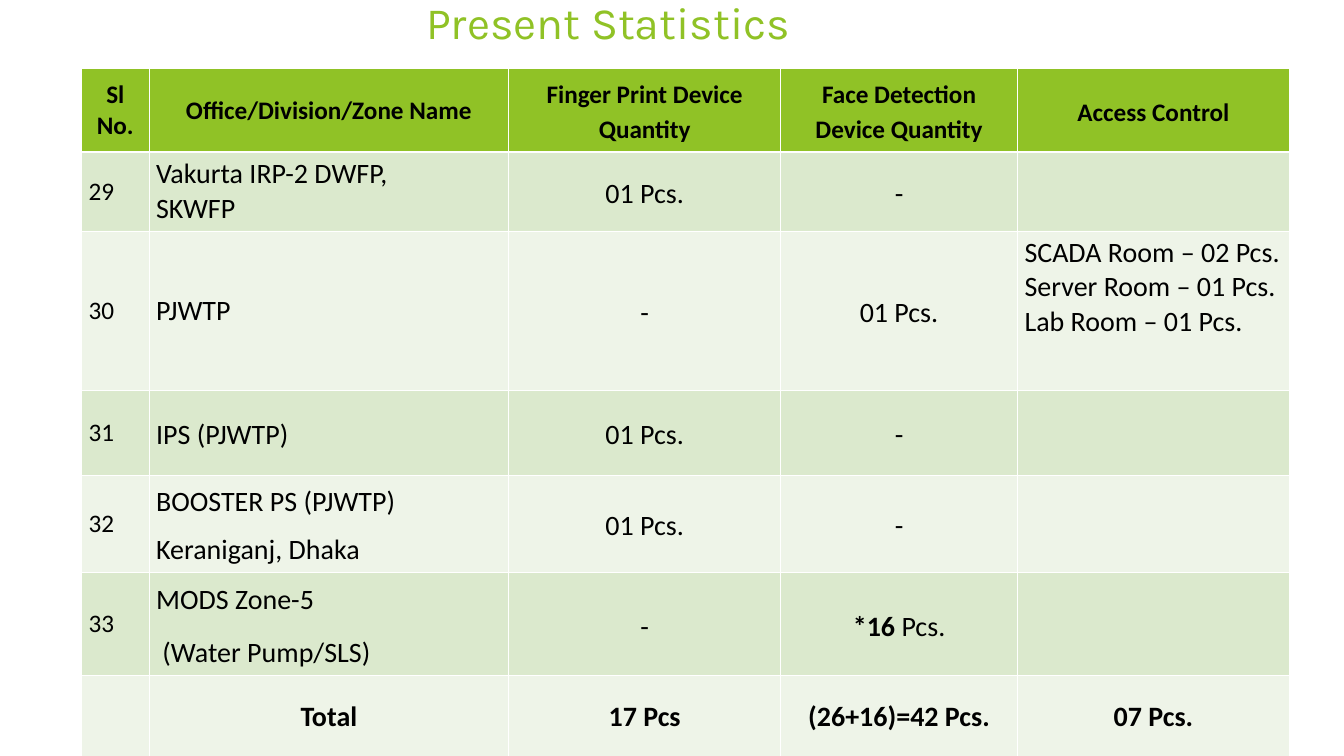
from lxml.etree import SubElement
from pptx import Presentation
from pptx.dml.color import RGBColor
from pptx.enum.text import MSO_ANCHOR as Anchor, PP_ALIGN as Align
from pptx.oxml.ns import qn
from pptx.util import Inches, Pt

# Content: a cell is one line of text or a list of lines
TITLE = "Present Statistics"
HEADER = ["Sl No.", "Office/Division/Zone Name", "Finger Print Device Quantity",
          "Face Detection Device Quantity", "Access Control"]
OFFICES = [
    ["29", ["Vakurta IRP-2 DWFP,", "SKWFP"], "01 Pcs.", "-", ""],
    ["30", "PJWTP", "-", "01 Pcs.",
     ["SCADA Room – 02 Pcs.", "Server Room – 01 Pcs.", "Lab Room – 01 Pcs."]],
    ["31", "IPS (PJWTP)", "01 Pcs.", "-", ""],
    ["32", ["BOOSTER PS (PJWTP)", "Keraniganj, Dhaka"], "01 Pcs.", "-", ""],
    ["33", ["MODS Zone-5", " (Water Pump/SLS)"], "-", "*16 Pcs.", ""],
]
TOTAL = ["", "Total", "17 Pcs", "(26+16)=42 Pcs.", "07 Pcs."]
ROWS = [HEADER, *OFFICES, TOTAL]
BOLD_START = "*16 "
LOOSE_LINES = {"IPS (PJWTP)", "BOOSTER PS (PJWTP)", "MODS Zone-5", " (Water Pump/SLS)"}

# Layout in inches
SLIDE_SIZE = (13.34, 7.5)
TITLE_BOX = (4.13, -0.08, 5.23, 0.59)
TABLE_ORIGIN = (0.81, 0.68)
COLUMN_WIDTHS = [0.67, 3.57, 2.7, 2.35, 2.7]
ROW_HEIGHTS = [0.83, 0.74, 1.58, 0.84, 0.86, 0.91, 0.82]
CELL_MARGINS = (0.07, 0.05)
THIN, THICK = 0.45, 1.47
COLORS = {"green": "90C226", "band": "DBE9CD", "pale": "EEF4E8",
          "text": "000000", "border": "FFFFFF"}


def color(name):
    return RGBColor.from_string(COLORS[name])


def set_borders(cell, row):
    properties = cell._tc.get_or_add_tcPr()
    widths = {"lnL": THIN, "lnR": THIN,
              "lnT": THICK if row == 1 else THIN,
              "lnB": THICK if row == 0 else THIN}
    for side, width in widths.items():
        line = SubElement(properties, qn(f"a:{side}"), w=str(Pt(width)))
        fill = SubElement(line, qn("a:solidFill"))
        SubElement(fill, qn("a:srgbClr"), val=COLORS["border"])


def write_line(paragraph, text, row, column, centered):
    last = len(ROWS) - 1
    if text.startswith(BOLD_START):
        start = paragraph.add_run()
        start.text, start.font.bold = BOLD_START, True
        text = text[len(BOLD_START):]
    paragraph.add_run().text = text
    paragraph.alignment = Align.CENTER if centered else Align.LEFT
    if text in LOOSE_LINES or (centered and column >= 2 and row < last):
        paragraph.line_spacing = 1.15
        paragraph.space_after = Pt(10)
    font = paragraph.font
    font.name, font.bold = "Calibri", row in (0, last)
    font.size = Pt(18 if row == 0 or column == 0 else 20)
    font.color.rgb = color("text")


def fill_cell(cell, content, row, column):
    lines = content if isinstance(content, list) else [content]
    access_list = column == 4 and len(lines) > 1
    centered = row in (0, len(ROWS) - 1) or (column >= 2 and not access_list)
    cell.vertical_anchor = Anchor.TOP if access_list else Anchor.MIDDLE
    cell.margin_left = cell.margin_right = Inches(CELL_MARGINS[0])
    cell.margin_top = cell.margin_bottom = Inches(CELL_MARGINS[1])
    set_borders(cell, row)
    cell.fill.solid()
    cell.fill.fore_color.rgb = color("green" if row == 0 else "band" if row % 2 else "pale")
    if content:
        frame = cell.text_frame
        for index, text in enumerate(lines):
            paragraph = frame.add_paragraph() if index else frame.paragraphs[0]
            write_line(paragraph, text, row, column, centered)


def main():
    presentation = Presentation()
    presentation.slide_width, presentation.slide_height = map(Inches, SLIDE_SIZE)
    slide = presentation.slides.add_slide(presentation.slide_layouts[5])

    # Title
    title = slide.shapes.title
    title.left, title.top, title.width, title.height = map(Inches, TITLE_BOX)
    title.text_frame.text = TITLE
    title.text_frame.vertical_anchor = Anchor.MIDDLE
    paragraph = title.text_frame.paragraphs[0]
    paragraph.alignment = Align.LEFT
    paragraph.font.name, paragraph.font.size = "Karla", Pt(32)
    paragraph.font.color.rgb = color("green")

    # Statistics table
    size = (sum(COLUMN_WIDTHS), sum(ROW_HEIGHTS))
    table = slide.shapes.add_table(len(ROWS), len(HEADER),
                                   *map(Inches, TABLE_ORIGIN + size)).table
    for column, width in zip(table.columns, COLUMN_WIDTHS):
        column.width = Inches(width)
    for row, height in zip(table.rows, ROW_HEIGHTS):
        row.height = Inches(height)
    for row, contents in enumerate(ROWS):
        for column, content in enumerate(contents):
            fill_cell(table.cell(row, column), content, row, column)

    presentation.save("out.pptx")


if __name__ == "__main__":
    main()
